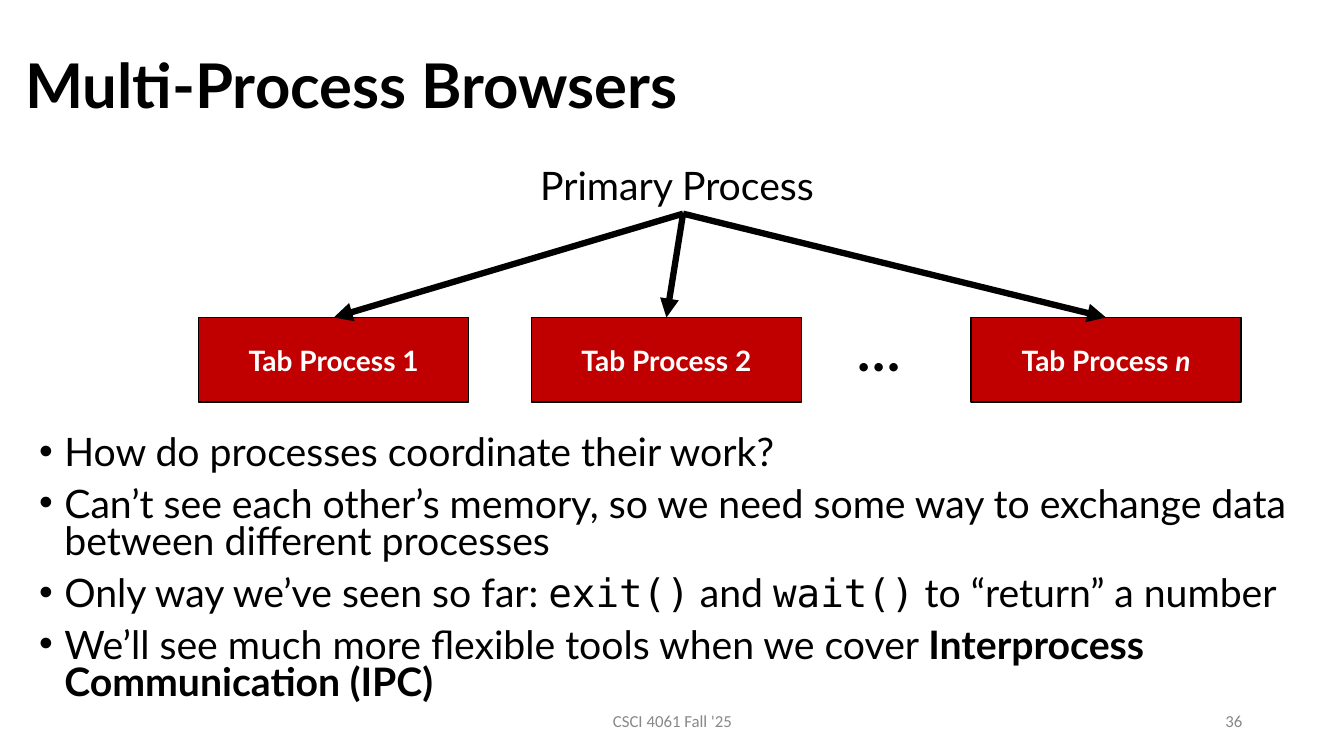
from lxml.etree import SubElement
from pptx import Presentation
from pptx.dml.color import RGBColor
from pptx.enum.shapes import MSO_CONNECTOR, MSO_SHAPE
from pptx.enum.text import MSO_ANCHOR, PP_ALIGN
from pptx.oxml.ns import qn
from pptx.util import Inches, Pt

BLACK, WHITE, RED, GRAY = "000000", "FFFFFF", "C00000", "888888"
MONO = {"font": "DejaVu Sans Mono"}


def paint(color_format, color):
    """Set a fill, line or font colour from a hex string."""
    if hasattr(color_format, "solid"):
        color_format.solid()
        color_format = color_format.fore_color
    color_format.rgb = RGBColor.from_string(color)


def write(shape, *paragraphs, size, color=BLACK, font="Lato", bold=False,
          align=PP_ALIGN.LEFT, anchor=MSO_ANCHOR.TOP, spacing=None,
          gap=0, bullet=False):
    """Fill a shape with paragraphs, each a list of (text, overrides) runs."""
    frame = shape.text_frame
    frame.word_wrap = True
    frame.vertical_anchor = anchor
    for index, runs in enumerate(paragraphs):
        paragraph = frame.paragraphs[0] if index == 0 else frame.add_paragraph()
        paragraph.alignment = align
        if spacing:
            paragraph.line_spacing = spacing
        if index and gap:
            paragraph.space_before = Pt(gap)
        if bullet:
            properties = paragraph._p.get_or_add_pPr()
            properties.set("marL", str(Inches(0.25)))
            properties.set("indent", str(Inches(-0.25)))
            SubElement(properties, qn("a:buFont"), typeface="Arial")
            SubElement(properties, qn("a:buChar"), char="•")
        for text, changes in runs:
            run = paragraph.add_run()
            run.text = text
            run.font.size = Pt(size)
            run.font.name = changes.get("font", font)
            run.font.bold = changes.get("bold", bold)
            run.font.italic = changes.get("italic", False)
            paint(run.font.color, color)


deck = Presentation()
deck.slide_width, deck.slide_height = Inches(13.33), Inches(7.5)
shapes = deck.slides.add_slide(deck.slide_layouts[6]).shapes

title = shapes.add_textbox(Inches(0.15), Inches(0.15), Inches(12.82), Inches(1.45))
write(title, [("Multi-Process Browsers", {})], size=44, bold=True,
      anchor=MSO_ANCHOR.MIDDLE, spacing=0.9)

points = shapes.add_textbox(Inches(0.29), Inches(4.28), Inches(12.81), Inches(2.81))
paint(points.fill, WHITE)
write(
    points,
    [("How do processes coordinate their work?", {})],
    [("Can’t see each other’s memory, so we need some way to exchange data "
      "between different processes", {})],
    [("Only way we’ve seen so far: ", {}), ("exit()", MONO), (" and ", {}),
     ("wait()", MONO), (" to “return” a number", {})],
    [("We’ll see much more flexible tools when we cover ", {}),
     ("Interprocess Communication (IPC)", {"bold": True})],
    size=28, spacing=0.8, gap=10, bullet=True)

for text, left, width, align in [
    ("CSCI 4061 Fall '25", 4.42, 4.5, PP_ALIGN.CENTER),
    ("36", 9.42, 3, PP_ALIGN.RIGHT),
]:
    footer = shapes.add_textbox(Inches(left), Inches(6.95), Inches(width), Inches(0.4))
    write(footer, [(text, {})], size=12, color=GRAY, font="Calibri",
          align=align, anchor=MSO_ANCHOR.MIDDLE)

primary = shapes.add_textbox(Inches(5.26), Inches(1.55), Inches(3.03), Inches(0.57))
write(primary, [("Primary Process", {})], size=28)

tabs = []
for number, left, changes in [
    ("1", 1.97, {}), ("2", 5.27, {}), ("n", 9.63, {"italic": True}),
]:
    tab = shapes.add_shape(MSO_SHAPE.RECTANGLE, Inches(left), Inches(3.15),
                           Inches(2.68), Inches(0.84))
    tab.shadow.inherit = False
    paint(tab.fill, RED)
    paint(tab.line.fill, BLACK)
    tab.line.width = Pt(1)
    write(tab, [("Tab Process ", {}), (number, changes)], size=20, color=WHITE,
          bold=True, align=PP_ALIGN.CENTER, anchor=MSO_ANCHOR.MIDDLE)
    tabs.append(tab)

ellipsis = shapes.add_textbox(Inches(8.41), Inches(3.08), Inches(1), Inches(0.77))
write(ellipsis, [("…", {})], size=40, bold=True)

for tab in tabs:
    arrow = shapes.add_connector(MSO_CONNECTOR.STRAIGHT, 0, 0, 0, 0)
    arrow.begin_connect(primary, 2)
    arrow.end_connect(tab, 0)
    paint(arrow.line.fill, BLACK)
    arrow.line.width = Pt(4.5)
    SubElement(arrow.line._get_or_add_ln(), qn("a:tailEnd"), type="triangle")
    SubElement(arrow._element.spPr, qn("a:effectLst"))

deck.save("out.pptx")
